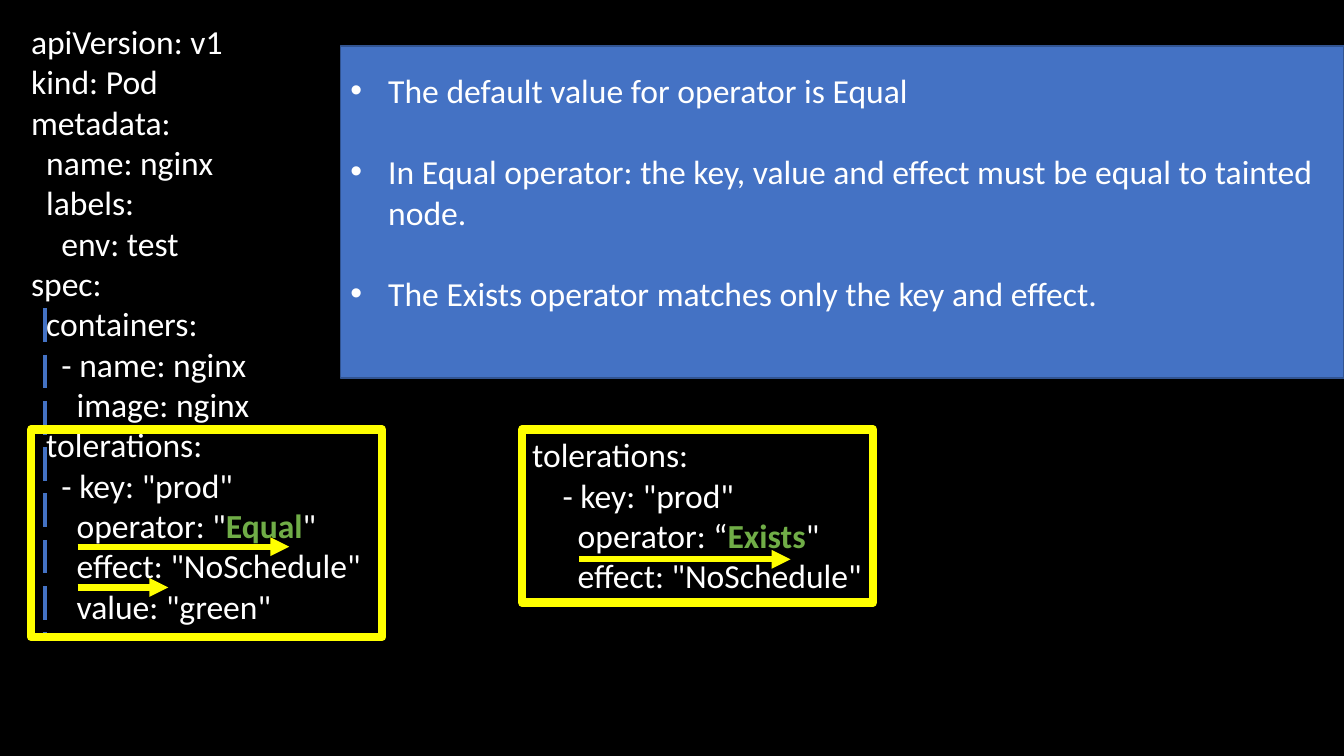
import pptx
import pptx.util
import pptx.dml.color
import pptx.enum.dml
import pptx.enum.shapes
import pptx.enum.text
import pptx.oxml.ns
from lxml import etree

Pt = pptx.util.Pt
RGB = pptx.dml.color.RGBColor
BLACK = RGB(0x00, 0x00, 0x00)
WHITE = RGB(0xFF, 0xFF, 0xFF)
GREEN = RGB(0x70, 0xAD, 0x47)
BLUE = RGB(0x44, 0x72, 0xC4)
NAVY = RGB(0x32, 0x54, 0x91)
YELLOW = RGB(0xFF, 0xFF, 0x00)

FONT = "Calibri"
SIZE = 24
ROW = 29.3  # height of one text line
INDENT = 27

POD = [
    ["apiVersion: v1"],
    ["kind: Pod"],
    ["metadata:"],
    ["  name: nginx"],
    ["  labels:"],
    ["    env: test"],
    ["spec:"],
    ["  containers:"],
    ["    - name: nginx"],
    ["      image: nginx"],
    ["  tolerations:"],
    ['    - key: "prod"'],
    ['      operator: "', "Equal", '"'],
    ['      effect: "NoSchedule"'],
    ['      value: "green"'],
]
EXISTS = [
    ["tolerations:"],
    ['    - key: "prod"'],
    ["      operator: “", "Exists", '"'],
    ['      effect: "NoSchedule"'],
]
NOTES = [
    "The default value for operator is Equal",
    "In Equal operator: the key, value and effect must be equal to tainted node.",
    "The Exists operator matches only the key and effect.",
]


def add_sub(parent, tag, **attrs):
    return etree.SubElement(parent, pptx.oxml.ns.qn(tag), **attrs)


def add_run(para, text, color=WHITE, bold=False):
    run = para.add_run()
    run.text = text
    run.font.name = FONT
    run.font.size = Pt(SIZE)
    run.font.bold = bold
    run.font.color.rgb = color


def add_code(slide, lines, left, top, width, height):
    """Add code lines; the second run of a line is the highlighted word."""
    frame = slide.shapes.add_textbox(Pt(left), Pt(top), Pt(width), Pt(height)).text_frame
    frame.word_wrap = True
    for row, parts in enumerate(lines):
        para = frame.add_paragraph() if row else frame.paragraphs[0]
        for col, part in enumerate(parts):
            mark = col == 1
            add_run(para, part, GREEN if mark else WHITE, mark)


def add_box(slide, left, top, width, height, color, weight, fill=None):
    box = slide.shapes.add_shape(
        pptx.enum.shapes.MSO_SHAPE.RECTANGLE, Pt(left), Pt(top), Pt(width), Pt(height))
    box.shadow.inherit = False
    if fill is None:
        box.fill.background()
    else:
        box.fill.solid()
        box.fill.fore_color.rgb = fill
    box.line.color.rgb = color
    box.line.width = Pt(weight)
    return box


def add_line(slide, start, end, color, weight):
    line = slide.shapes.add_connector(
        pptx.enum.shapes.MSO_CONNECTOR.STRAIGHT, *map(Pt, start + end))
    line.line.color.rgb = color
    line.line.width = Pt(weight)
    add_sub(line._element.spPr, "a:effectLst")
    return line


def add_arrow(slide, left, top, length):
    arrow = add_line(slide, (left, top), (left + length, top), YELLOW, 4.5)
    add_sub(arrow.line._get_or_add_ln(), "a:tailEnd", type="triangle")


def add_notes(slide, left, top, width, height):
    box = add_box(slide, left, top, width, height, NAVY, 1, BLUE)
    frame = box.text_frame
    frame.word_wrap = True
    frame.vertical_anchor = pptx.enum.text.MSO_ANCHOR.MIDDLE
    frame.margin_bottom = Pt(3.6 + ROW)
    for row, note in enumerate(NOTES):
        para = frame.add_paragraph() if row else frame.paragraphs[0]
        para.alignment = pptx.enum.text.PP_ALIGN.LEFT
        if row:
            para.space_before = Pt(ROW)
        props = para._p.get_or_add_pPr()
        props.set("marL", str(Pt(INDENT)))
        props.set("indent", str(-Pt(INDENT)))
        add_sub(props, "a:buFont", typeface="Arial")
        add_sub(props, "a:buChar", char="•")
        add_run(para, note)


def main():
    deck = pptx.Presentation()
    deck.slide_width, deck.slide_height = Pt(960), Pt(540)
    slide = deck.slides.add_slide(deck.slide_layouts[6])
    slide.background.fill.solid()
    slide.background.fill.fore_color.rgb = BLACK

    add_code(slide, POD, 15.1, 11.5, 273.6, 443.5)
    guide = add_line(slide, (31.9, 220.3), (31.9, 455), BLUE, 3)
    guide.line.dash_style = pptx.enum.dml.MSO_LINE.LONG_DASH
    add_box(slide, 22.3, 306.7, 250.6, 148.3, YELLOW, 6)
    add_arrow(slide, 55.4, 390.5, 151.2)
    add_arrow(slide, 55.4, 419.6, 64.8)

    add_notes(slide, 243.2, 33, 716.8, 237)

    add_box(slide, 373, 306.7, 250.6, 123.8, YELLOW, 6)
    add_code(slide, EXISTS, 373, 306.7, 265.7, 123.8)
    add_arrow(slide, 413.5, 399.5, 151.2)

    deck.save("out.pptx")


if __name__ == "__main__":
    main()
